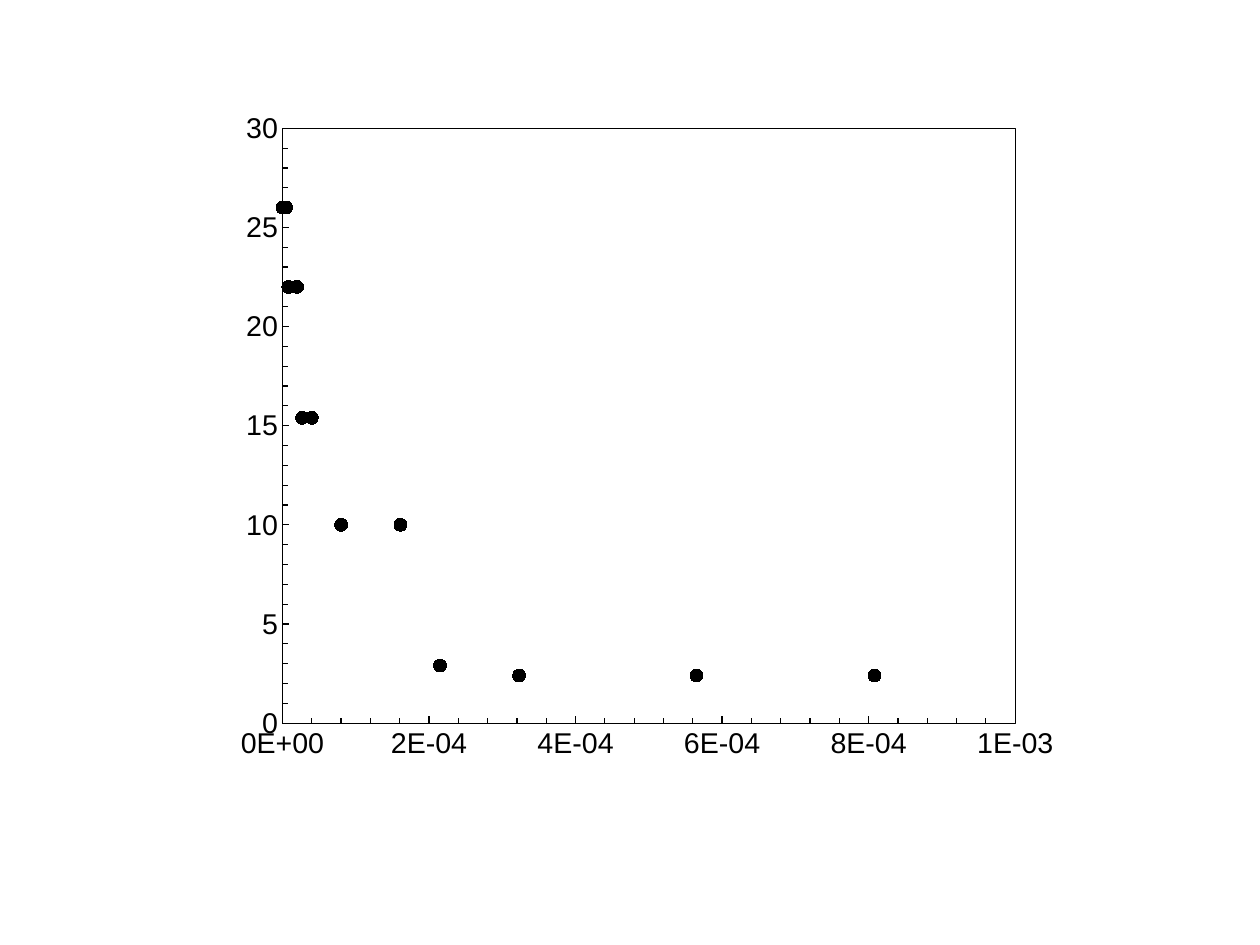
from dataclasses import dataclass

from lxml.etree import fromstring
from pptx import Presentation
from pptx.chart.axis import ValueAxis
from pptx.chart.chart import Chart
from pptx.chart.data import XyChartData
from pptx.dml.color import RGBColor
from pptx.dml.fill import FillFormat
from pptx.enum.chart import XL_CHART_TYPE as Kind
from pptx.enum.chart import XL_MARKER_STYLE as Mark
from pptx.enum.chart import XL_TICK_LABEL_POSITION as Label
from pptx.enum.chart import XL_TICK_MARK as Tick
from pptx.oxml.ns import nsdecls, qn
from pptx.util import Cm, Pt

INK = "000000"
FONT = "Arial"
MICRO = 1_000_000
POINTS = [
    (808, 2.4), (565, 2.4), (323, 2.4), (215, 2.9), (161, 10),
    (80, 10), (40, 15.4), (27, 15.4), (20, 22), (8, 22),
    (5, 26), (2, 26), (1, 26), (0, 26), (0, 26),
]


@dataclass
class Scale:
    top: float
    major: float
    minor: float
    form: str


@dataclass
class Box:
    x: float
    y: float
    w: float
    h: float


ACROSS = Scale(1000 / MICRO, 200 / MICRO, 40 / MICRO, "#E+00")
UPWARD = Scale(30, 5, 1, "General")
FRAME = Box(17.78, 10.4, 67.24, 71.5)
INNER = Box(6.9, 4.45, 86.5, 88.05)


def paint(fill: FillFormat, tone: str) -> None:
    fill.solid()
    fill.fore_color.rgb = RGBColor.from_string(tone)


def set_axis(axis: ValueAxis, scale: Scale) -> None:
    axis.minimum_scale, axis.maximum_scale = 0, scale.top
    axis.major_unit = scale.major
    axis.has_major_gridlines = axis.has_minor_gridlines = False
    axis.major_tick_mark = axis.minor_tick_mark = Tick.INSIDE
    axis.tick_label_position = Label.NEXT_TO_AXIS
    axis.format.line.width = Pt(0.75)
    paint(axis.format.line.fill, INK)
    labels = axis.tick_labels
    labels.number_format = scale.form
    labels.number_format_is_linked = False
    labels.font.size = Pt(18)
    labels.font.name = FONT
    paint(labels.font.fill, INK)
    unit = fromstring(f'<c:minorUnit {nsdecls("c")} val="{scale.minor:f}"/>')
    axis._element.find(qn("c:majorUnit")).addnext(unit)


def set_plot(chart: Chart, box: Box) -> None:
    area = chart.element.find(f'.//{qn("c:plotArea")}')
    for old in area.findall(qn("c:layout")):
        area.remove(old)
    area.insert(0, fromstring(
        f'<c:layout {nsdecls("c")}><c:manualLayout>'
        '<c:layoutTarget val="inner"/><c:xMode val="edge"/><c:yMode val="edge"/>'
        f'<c:x val="{box.x / 100:.4f}"/><c:y val="{box.y / 100:.4f}"/>'
        f'<c:w val="{box.w / 100:.4f}"/><c:h val="{box.h / 100:.4f}"/>'
        '</c:manualLayout></c:layout>'))
    area.append(fromstring(
        f'<c:spPr {nsdecls("c", "a")}><a:noFill/><a:ln w="{Pt(0.75)}">'
        f'<a:solidFill><a:srgbClr val="{INK}"/></a:solidFill></a:ln></c:spPr>'))


def main() -> None:
    deck = Presentation()
    deck.slide_width, deck.slide_height = Cm(28), Cm(21)
    slide = deck.slides.add_slide(deck.slide_layouts[6])

    data = XyChartData()
    dots = data.add_series("Series 1")
    for x, y in POINTS:
        dots.add_data_point(x / MICRO, y)

    wide, high = deck.slide_width / 100, deck.slide_height / 100
    chart = slide.shapes.add_chart(
        Kind.XY_SCATTER, int(FRAME.x * wide), int(FRAME.y * high),
        int(FRAME.w * wide), int(FRAME.h * high), data).chart
    chart.has_legend = chart.has_title = False
    chart.font.size = Pt(10)
    chart.font.name = FONT
    paint(chart.font.fill, INK)

    plot = chart.plots[0]
    plot.vary_by_categories = False
    row = plot.series[0]
    row.smooth = False
    row.format.line.fill.background()
    row.marker.style = Mark.CIRCLE
    row.marker.size = 8
    paint(row.marker.format.fill, INK)
    paint(row.marker.format.line.fill, INK)

    set_axis(chart.category_axis, ACROSS)
    set_axis(chart.value_axis, UPWARD)
    set_plot(chart, INNER)
    deck.save("out.pptx")


if __name__ == "__main__":
    main()
